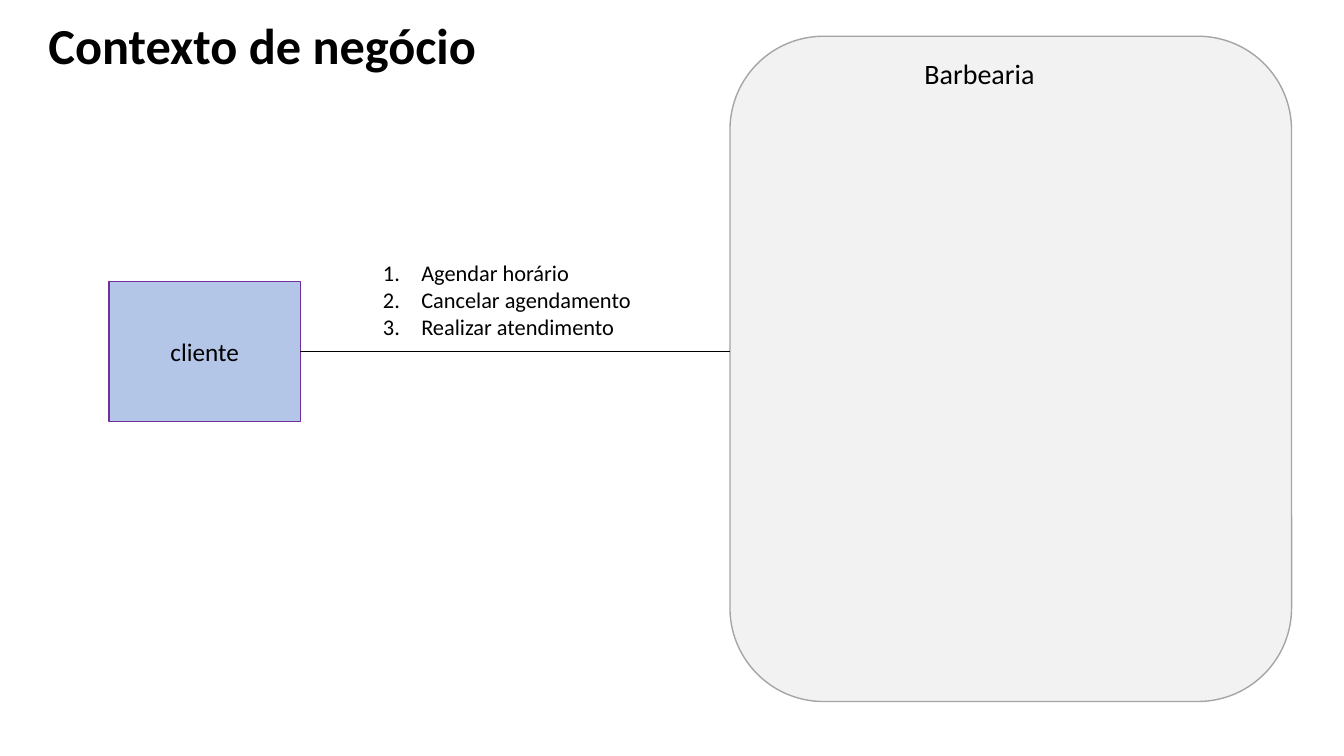
from lxml.etree import SubElement
from pptx import Presentation
from pptx.dml.color import RGBColor
from pptx.enum.shapes import MSO_CONNECTOR, MSO_SHAPE
from pptx.enum.text import MSO_ANCHOR, PP_ALIGN
from pptx.oxml.ns import qn
from pptx.util import Inches, Pt

COLORS = {"text": "000000", "shop": "F2F2F2", "shop_line": "A5A5A5",
          "client": "B3C6E7", "client_line": "7030A0"}


def write(shape, lines, size, align=PP_ALIGN.LEFT, anchor=MSO_ANCHOR.TOP, bold=False):
    frame = shape.text_frame
    frame.text = "\n".join(lines)
    frame.word_wrap = True
    frame.vertical_anchor = anchor
    for paragraph in frame.paragraphs:
        paragraph.alignment = align
        paragraph.line_spacing = 1
        paragraph.space_before = Pt(0)
        font = paragraph.runs[0].font
        font.name, font.size, font.bold = "Calibri", Pt(size), bold
        font.color.rgb = RGBColor.from_string(COLORS["text"])


def add_box(kind, box, fill, line):
    shape = slide.shapes.add_shape(kind, *map(Inches, box))
    shape.shadow.inherit = False
    shape.fill.solid()
    shape.fill.fore_color.rgb = RGBColor.from_string(COLORS[fill])
    shape.line.color.rgb = RGBColor.from_string(COLORS[line])
    shape.line.width = Pt(1)
    return shape


prs = Presentation()
prs.slide_width, prs.slide_height = Inches(13.33), Inches(7.5)
slide = prs.slides.add_slide(prs.slide_layouts[5])

# Title
title = slide.shapes.title
title.left, title.top, title.width, title.height = map(Inches, (0.38, 0.09, 4.51, 0.71))
write(title, ["Contexto de negócio"], 36, bold=True)

# Barbershop and client
barbershop = add_box(MSO_SHAPE.ROUNDED_RECTANGLE, (7.24, 0.36, 5.57, 6.6), "shop", "shop_line")
client = add_box(MSO_SHAPE.RECTANGLE, (1.08, 2.79, 1.9, 1.39), "client", "client_line")
write(client, ["cliente"], 18, PP_ALIGN.CENTER, MSO_ANCHOR.MIDDLE)

barbershop_name = slide.shapes.add_textbox(*map(Inches, (9.07, 0.51, 2.27, 0.44)))
write(barbershop_name, ["Barbearia"], 20)

# Link between them
link = slide.shapes.add_connector(
    MSO_CONNECTOR.STRAIGHT, Inches(7.24), Inches(3.49), Inches(2.98), Inches(3.49))
link.line.color.rgb = RGBColor.from_string(COLORS["text"])
link.line.width = Pt(0.75)
SubElement(link._element.spPr, qn("a:effectLst"))

# Numbered interactions
interactions = slide.shapes.add_textbox(*map(Inches, (3.7, 2.52, 3.79, 2.29)))
write(interactions, ["Agendar horário", "Cancelar agendamento", "Realizar atendimento"], 16)
for paragraph in interactions.text_frame.paragraphs:
    properties = paragraph._p.get_or_add_pPr()
    properties.set("marL", str(Inches(0.38)))
    properties.set("indent", str(-Inches(0.38)))
    SubElement(properties, qn("a:buFont"), typeface="+mj-lt")
    SubElement(properties, qn("a:buAutoNum"), type="arabicPeriod")

prs.save("out.pptx")
